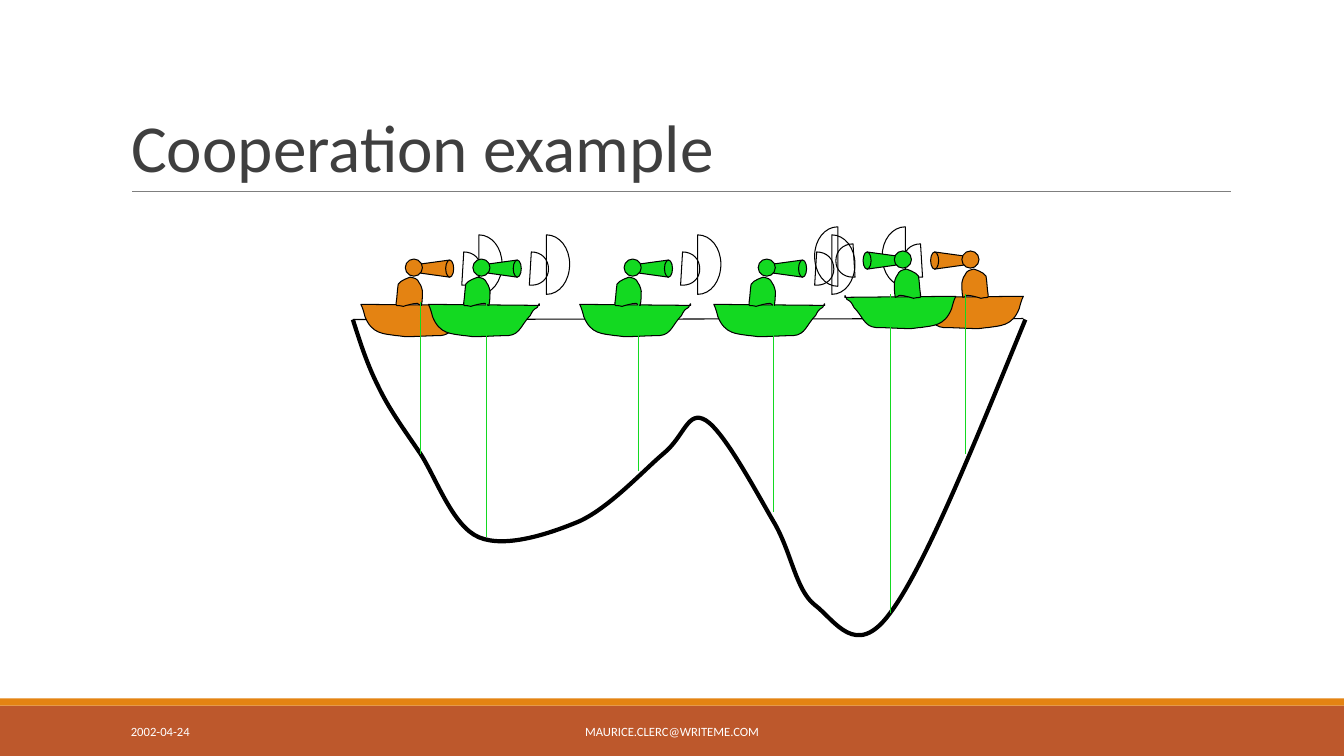
from pptx import Presentation
from pptx.dml.color import RGBColor
from pptx.enum.shapes import MSO_CONNECTOR, MSO_SHAPE
from pptx.enum.text import MSO_ANCHOR, MSO_AUTO_SIZE, PP_ALIGN
from pptx.oxml.xmlchemy import OxmlElement
from pptx.util import Pt

PX = 9144
FONT = "Calibri"
BLACK, GREY, WHITE, TITLE_GREY = "000000", "7F7F7F", "FFFFFF", "3F3F3F"
ORANGE, RUST, GREEN = "E48312", "BD582C", "13D921"

SEABED = [(350, 317),
          (357, 339), (364, 361), (375, 383), (386, 406), (400, 425), (417, 450),
          (433, 475), (449, 522), (475, 533), (501, 544), (544, 530), (575, 517),
          (605, 503), (638, 467), (658, 450), (679, 433), (682, 406), (700, 417),
          (718, 428), (749, 486), (767, 517), (785, 547), (789, 585), (808, 600),
          (828, 615), (849, 655), (883, 608), (918, 561), (967, 439), (1017, 317)]
HULL = [(0, 302),
        (2, 306), (3, 310), (4, 314), (11, 332), (23, 331), (35, 333),
        (38, 333), (42, 334), (45, 334), (56, 334), (67, 333), (79, 333),
        (91, 332), (92, 322), (101, 313), (103, 309), (104, 307), (108, 305),
        (110, 301), (110, 300), (110, 303)]
SAILOR = [(35, 300),
          (36, 294), (36, 288), (37, 282), (39, 278), (49, 275), (49, 275),
          (53, 276), (56, 276), (58, 281), (60, 283), (61, 289), (61, 289),
          (61, 293), (61, 298), (60, 303), (59, 304), (57, 301), (56, 301),
          (52, 301), (45, 303), (42, 304), (34, 302), (35, 305), (35, 300)]
NEAR_WAVE = [(102, 250),
             (112, 250), (119, 257), (119, 267), (119, 276), (112, 283), (102, 283),
             (102, 283), (101, 283), (100, 283)]
FAR_WAVE = [(117, 233),
            (130, 233), (140, 246), (140, 262), (140, 279), (130, 292), (117, 292)]
SPYGLASS = [(88, 258), (59, 262), (59, 271), (88, 275)]
LENS = (84, 258, 8, 17)
HEAD = (44, 257, 17, 17)

BOATS = [(358, False, ORANGE, 417, 450),
         (1015, True, ORANGE, 958, 450),
         (425, False, GREEN, 483, 533),
         (948, True, GREEN, 883, 608),
         (708, False, GREEN, 767, 508),
         (575, False, GREEN, 633, 467)]


def color(code):
    return RGBColor.from_string(code)


def paint(shape, fill=None, line=None, weight=0.75):
    shape.shadow.inherit = False
    if fill:
        shape.fill.solid()
        shape.fill.fore_color.rgb = color(fill)
    else:
        shape.fill.background()
    if line:
        shape.line.color.rgb = color(line)
        shape.line.width = Pt(weight)
    else:
        shape.line.fill.background()


def add_preset(shapes, kind, box, fill, line=None):
    paint(shapes.add_shape(kind, *(n * PX for n in box)), fill, line)


def add_line(shapes, start, end, line):
    connector = shapes.add_connector(
        MSO_CONNECTOR.STRAIGHT, *(n * PX for n in start + end))
    connector.line.color.rgb = color(line)
    connector.line.width = Pt(0.75)
    connector._element.spPr.append(OxmlElement("a:effectLst"))


def bend(outline):
    segments = outline._element.xpath(".//a:lnTo")
    for i in range(0, len(segments), 3):
        curve = OxmlElement("a:cubicBezTo")
        segments[i].addprevious(curve)
        for segment in segments[i:i + 3]:
            curve.append(segment[0])
            segment.getparent().remove(segment)


def add_outline(shapes, points, fill=None, weight=0.75, close=True, curved=True):
    builder = shapes.build_freeform(*points[0], scale=PX)
    builder.add_line_segments(points[1:], close=False)
    if close:
        builder.add_line_segments([], close=True)
    outline = builder.convert_to_shape()
    if curved:
        bend(outline)
    paint(outline, fill, BLACK, weight)


def add_boat(slide, origin, faces_left, paint_color, depth_x, depth):
    boat = slide.shapes.add_group_shape().shapes
    side, rise = (-1, 8) if faces_left else (1, 0)

    def place(points):
        return [(origin + side * x, y - rise) for x, y in points]

    def add_round(x, y, width, height):
        left = origin - x - width if faces_left else origin + x
        add_preset(boat, MSO_SHAPE.OVAL, (left, y - rise, width, height),
                   paint_color, BLACK)

    add_outline(boat, place(SPYGLASS), paint_color, curved=False)
    add_round(*LENS)
    for part in (HULL, SAILOR):
        add_outline(boat, place(part), paint_color)
    add_round(*HEAD)
    for wave in (NEAR_WAVE, FAR_WAVE):
        add_outline(boat, place(wave))
    add_line(boat, (depth_x, 300 - rise), (depth_x, depth), GREEN)


def write(shape, box, text, size, ink, anchor, align=PP_ALIGN.LEFT):
    shape.left, shape.top, shape.width, shape.height = (n * PX for n in box)
    frame = shape.text_frame
    frame.text = text
    frame.word_wrap = True
    frame.auto_size = MSO_AUTO_SIZE.NONE
    frame.vertical_anchor = anchor
    paragraph = frame.paragraphs[0]
    paragraph.alignment = align
    paragraph.font.name = FONT
    paragraph.font.size = Pt(size)
    paragraph.font.color.rgb = color(ink)
    return paragraph


def add_footer(slide, box, text, align):
    write(slide.shapes.add_textbox(0, 0, 0, 0), box, text, 9, WHITE,
          MSO_ANCHOR.MIDDLE, align)


def main():
    deck = Presentation()
    deck.slide_width, deck.slide_height = 1333 * PX, 750 * PX
    slide = deck.slides.add_slide(deck.slide_layouts[5])
    shapes = slide.shapes

    add_preset(shapes, MSO_SHAPE.RECTANGLE, (0, 700, 1333, 50), RUST)
    add_preset(shapes, MSO_SHAPE.RECTANGLE, (0, 693, 1333, 7), ORANGE)
    add_line(shapes, (131, 190), (1221, 190), GREY)
    add_footer(slide, (120, 706, 270, 40), "2002-04-24", PP_ALIGN.LEFT)
    add_footer(slide, (403, 706, 527, 40), "MAURICE.CLERC@WRITEME.COM",
               PP_ALIGN.CENTER)
    heading = write(shapes.title, (120, 31, 1100, 159), "Cooperation example",
                    48, TITLE_GREY, MSO_ANCHOR.BOTTOM)
    heading.line_spacing = 0.85

    add_line(shapes, (350, 317), (1015, 316), BLACK)
    add_outline(shapes, SEABED, weight=3, close=False)
    for boat in BOATS:
        add_boat(slide, *boat)

    deck.save("out.pptx")


if __name__ == "__main__":
    main()
